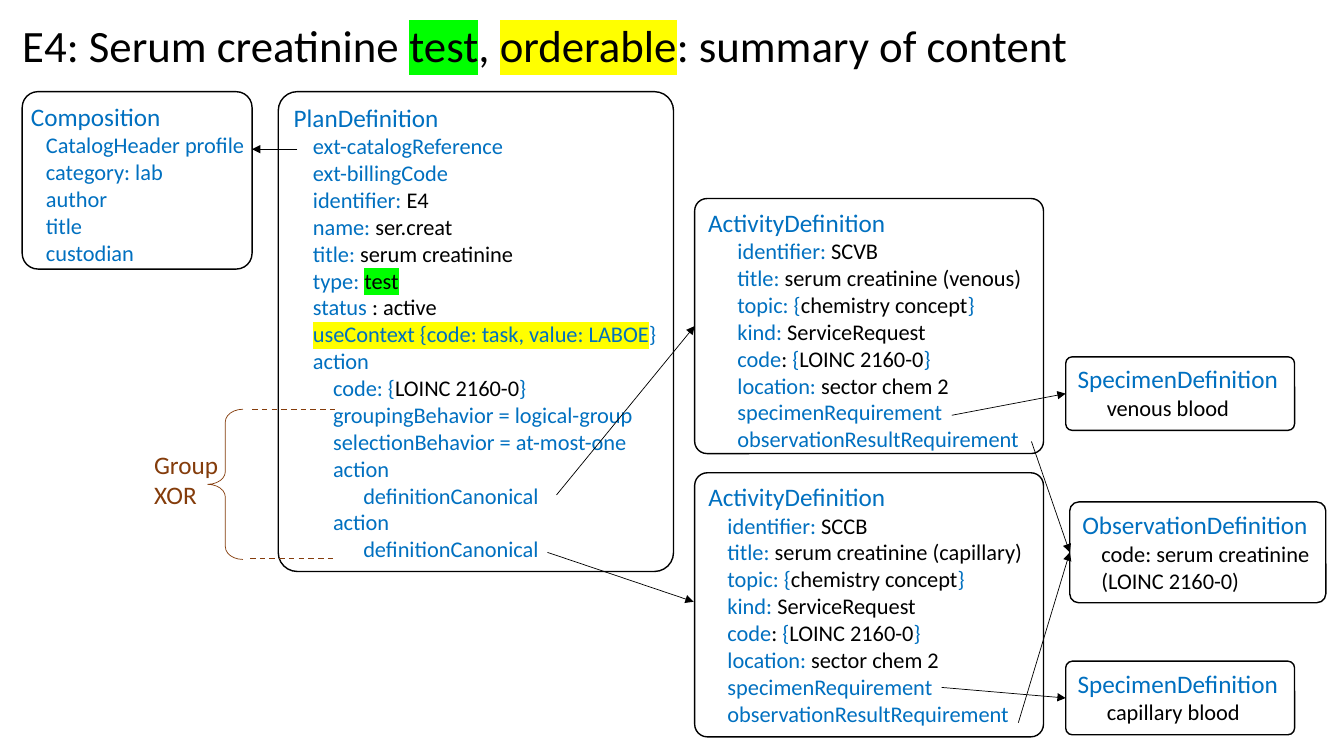
"""Build the slide that sums up the content of the serum creatinine catalog entry."""
from pptx import Presentation
from pptx import util as u
from pptx.dml.color import RGBColor
from pptx.enum import dml, shapes, text
from pptx.oxml import parse_xml
from pptx.oxml.ns import nsdecls, qn

COLORS = {"black": "000000", "blue": "0070C0", "brown": "843C0B",
          "green": "00FF00", "yellow": "FFFF00"}
HIGHLIGHTS = {"test": "green", "orderable": "yellow",
              "useContext {code: task, value: LABOE": "yellow"}
FONT = "Calibri"

COMPOSITION = [(0.15, line) for line in (
    "CatalogHeader profile", "category: lab", "author", "title", "custodian")]
PLAN = [(0.19, line) for line in (
    "ext-catalogReference", "ext-billingCode", "identifier: |E4",
    "name: |ser.creat", "title: |serum creatinine", "type: |test",
    "status| : active", "useContext {code: task, value: LABOE||}", "action")]
PLAN += [
    (0.39, "code: {|LOINC 2160-0|}"),
    (0.39, "groupingBehavior = logical-group"),
    (0.39, "selectionBehavior = at-most-one"),
    (0.39, "action"), (0.69, "definitionCanonical"),
    (0.39, "action"), (0.69, "definitionCanonical")]


def rgb(name):
    """Return the named colour."""
    return RGBColor.from_string(COLORS[name])


def highlight(run, name):
    """Put a marker colour behind a run."""
    fill = run.font._element.find(qn("a:solidFill"))
    fill.addnext(parse_xml(
        f'<a:highlight {nsdecls("a")}><a:srgbClr val="{COLORS[name]}"/></a:highlight>'))


def write(paragraph, markup, size=16, color="blue", other="black", indent=0):
    """Write runs split by bars, alternating between two colours."""
    paragraph.alignment = text.PP_ALIGN.LEFT
    if indent:
        properties = paragraph._p.get_or_add_pPr()
        properties.set("marL", str(u.Inches(indent)))
        properties.set("indent", "0")
    for index, part in enumerate(markup.split("|")):
        if not part:
            continue
        run = paragraph.add_run()
        run.text = part
        run.font.size = u.Pt(size)
        run.font.name = FONT
        run.font.color.rgb = rgb(other if index % 2 else color)
        if part in HIGHLIGHTS:
            highlight(run, HIGHLIGHTS[part])


def place(shape, left, top, width, height):
    """Move and size a shape in inches."""
    shape.left, shape.top = u.Inches(left), u.Inches(top)
    shape.width, shape.height = u.Inches(width), u.Inches(height)


def add_outline(slide, kind, position, color, weight, adjustments):
    """Add an unfilled preset shape."""
    shape = slide.shapes.add_shape(kind, *map(u.Inches, position))
    shape.shadow.inherit = False
    shape.fill.background()
    shape.line.color.rgb = rgb(color)
    shape.line.width = u.Pt(weight)
    for index, value in enumerate(adjustments):
        shape.adjustments[index] = value
    return shape


def add_resource(slide, position, name, lines, corner=0.089):
    """Add a rounded box with a resource name and its indented elements."""
    box = add_outline(slide, shapes.MSO_SHAPE.ROUNDED_RECTANGLE, position,
                      "black", 1, [corner])
    frame = box.text_frame
    frame.word_wrap = True
    frame.vertical_anchor = text.MSO_ANCHOR.TOP
    write(frame.paragraphs[0], name, size=18)
    for indent, line in lines:
        write(frame.add_paragraph(), line, indent=indent)
    return box


def add_activity(slide, top, height, indent, identifier, title):
    """Add the box of one activity definition."""
    lines = (f"identifier: |{identifier}", f"title: |serum creatinine ({title})",
             "topic: {|chemistry concept|}", "kind: |ServiceRequest",
             "code|: |{|LOINC 2160-0|}", "location: |sector chem 2",
             "specimenRequirement", "observationResultRequirement")
    return add_resource(slide, (6.89, top, 3.46, height), "ActivityDefinition",
                        [(indent, line) for line in lines], corner=0.048)


def add_specimen(slide, top, sample):
    """Add the box of one specimen definition."""
    return add_resource(slide, (10.57, top, 2.27, 0.73), "SpecimenDefinition",
                        [(0.29, f"|{sample}")])


def add_line(slide, start, end, color="black", weight=0.5):
    """Add a straight line without a shadow."""
    line = slide.shapes.add_connector(
        shapes.MSO_CONNECTOR.STRAIGHT, *map(u.Inches, (*start, *end)))
    line.line.color.rgb = rgb(color)
    line.line.width = u.Pt(weight)
    line._element.spPr.append(parse_xml(f'<a:effectLst {nsdecls("a")}/>'))
    return line


def add_arrow(slide, start, end, target=None):
    """Add an arrow, joined to the left side of a target if there is one."""
    arrow = add_line(slide, start, end)
    arrow.line._get_or_add_ln().append(
        parse_xml(f'<a:tailEnd {nsdecls("a")} type="triangle"/>'))
    if target is not None:
        arrow.end_connect(target, 1)


def add_group_brace(slide):
    """Add the brace, its label and the dashed lines of the XOR group."""
    add_outline(slide, shapes.MSO_SHAPE.LEFT_BRACE, (2.06, 4.06, 0.35, 1.49),
                "brown", 0.5, [0.359, 0.5])
    label = slide.shapes.add_textbox(*map(u.Inches, (1.43, 4.41, 0.87, 0.71)))
    label.text_frame.word_wrap = True
    write(label.text_frame.paragraphs[0], "Group XOR", size=18, color="brown")
    for left, y in ((2.5, 4.06), (2.48, 5.54)):
        dashes = add_line(slide, (left, y), (left + 0.83, y), "brown", 1)
        dashes.line.dash_style = dml.MSO_LINE.DASH


def add_title(slide):
    """Move and fill the title placeholder."""
    title = slide.shapes.title
    place(title, 0.12, 0.13, 10.61, 0.64)
    title.text_frame.word_wrap = True
    title.text_frame.auto_size = text.MSO_AUTO_SIZE.NONE
    title.text_frame.vertical_anchor = text.MSO_ANCHOR.TOP
    write(title.text_frame.paragraphs[0],
          "E4: Serum creatinine |test|, |orderable|: summary of content",
          size=32, color="black")


def main():
    """Build and save the presentation."""
    presentation = Presentation()
    presentation.slide_width = u.Inches(13.33)
    presentation.slide_height = u.Inches(7.5)
    slide = presentation.slides.add_slide(presentation.slide_layouts[5])
    add_title(slide)

    composition = add_resource(slide, (0.22, 0.91, 2.28, 1.76), "Composition", COMPOSITION)
    composition.text_frame.margin_left = u.Inches(0.04)
    composition.text_frame.margin_right = 0
    add_resource(slide, (2.76, 0.91, 3.92, 4.76), "PlanDefinition", PLAN, corner=0.048)
    venous = add_activity(slide, 1.97, 2.53, 0.29, "SCVB", "venous")
    add_activity(slide, 4.69, 2.62, 0.19, "SCCB", "capillary")
    venous_blood = add_specimen(slide, 3.54, "venous blood")
    capillary_blood = add_specimen(slide, 6.56, "capillary blood")
    observation = add_resource(slide, (10.61, 4.98, 2.54, 1), "ObservationDefinition",
                               [(0.19, "|code: serum creatinine (LOINC 2160-0)")])

    for start, end, target in (
            ((2.95, 1.48), (2.5, 1.48), None),
            ((5.52, 4.91), (6.89, 3.24), venous),
            ((5.43, 5.48), (6.88, 5.97), None),
            ((9.44, 4.12), (10.57, 3.91), venous_blood),
            ((9.34, 6.82), (10.57, 6.93), capillary_blood),
            ((10.23, 4.38), (10.61, 5.48), observation),
            ((10.1, 7.17), (10.61, 5.48), observation)):
        add_arrow(slide, start, end, target)
    add_group_brace(slide)
    presentation.save("out.pptx")


if __name__ == "__main__":
    main()
